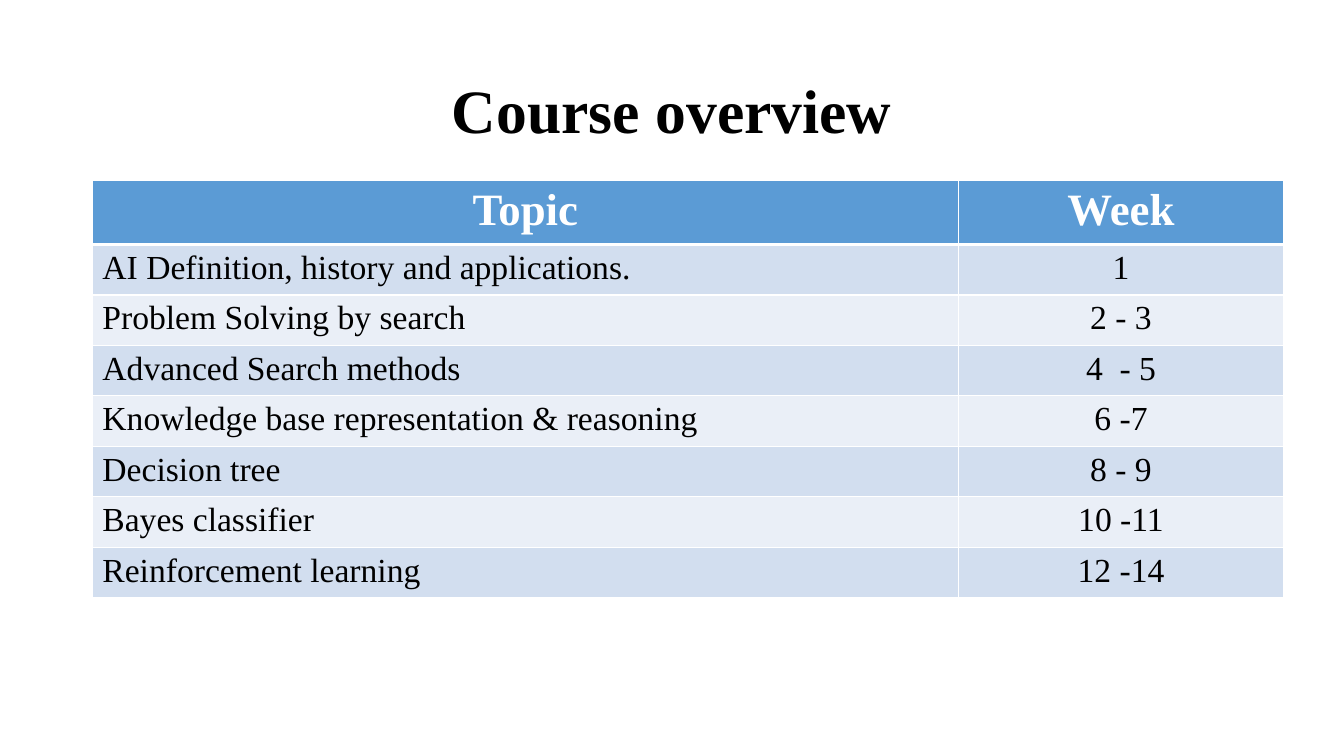
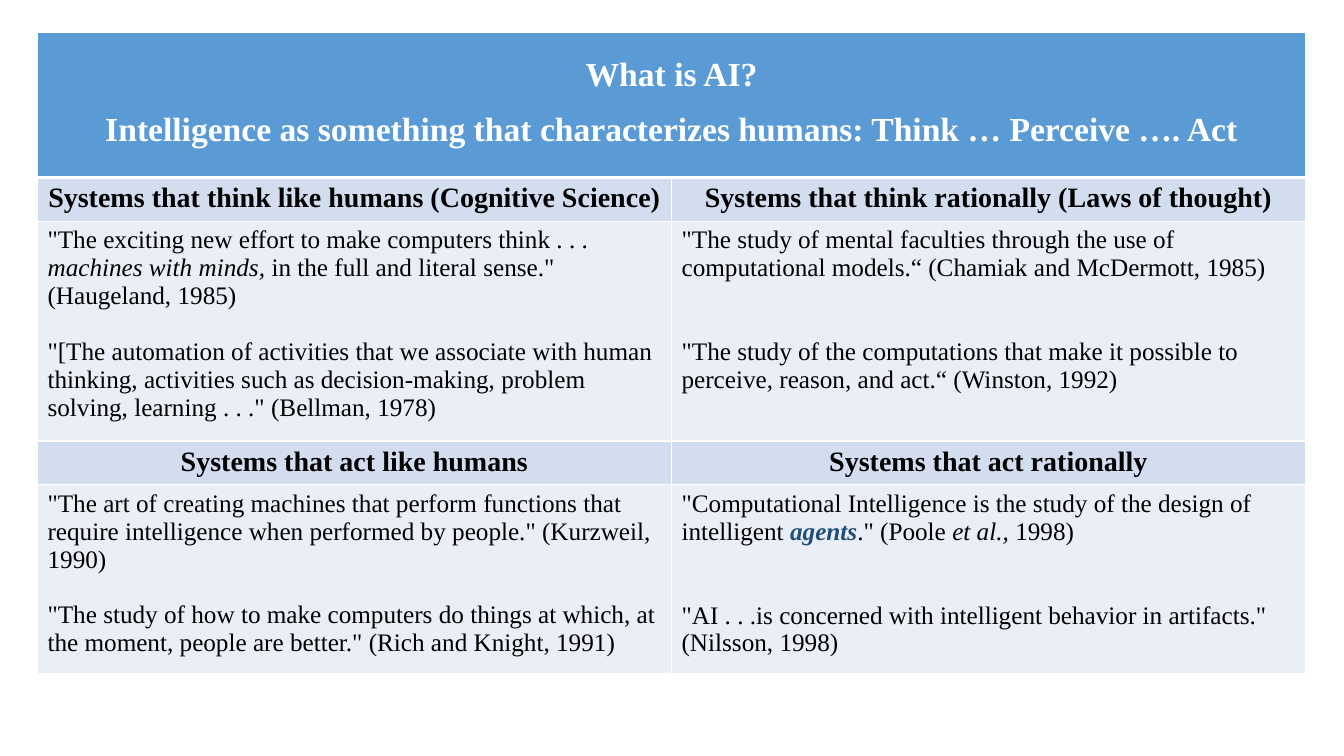
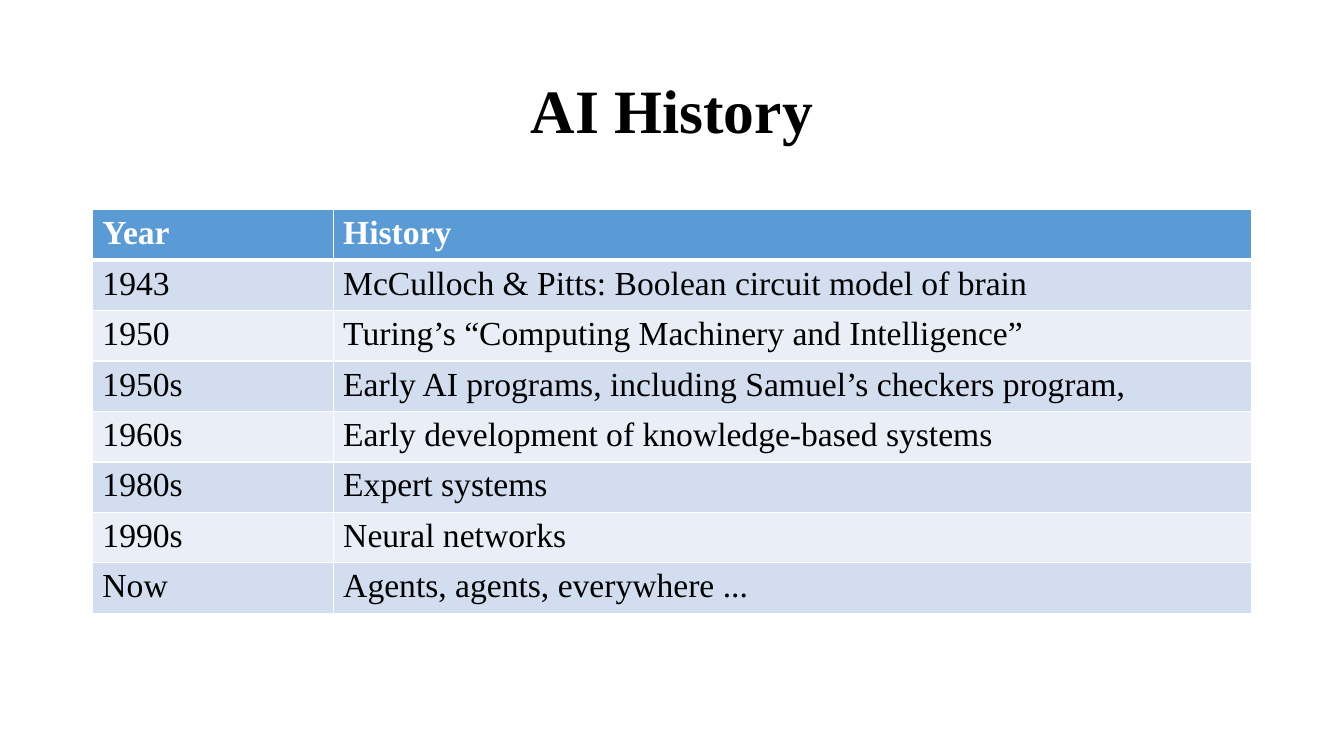
from dataclasses import dataclass

from lxml.etree import SubElement
from pptx import Presentation
from pptx.dml.color import RGBColor
from pptx.enum.text import MSO_ANCHOR, PP_ALIGN
from pptx.oxml.ns import qn
from pptx.util import Pt

FONT = "Times New Roman"
WHITE = RGBColor(0xFF, 0xFF, 0xFF)
BLACK = RGBColor(0, 0, 0)
HEADER_BLUE = RGBColor(0x5B, 0x9B, 0xD5)
BANDS = (RGBColor(0xD2, 0xDE, 0xEF), RGBColor(0xEA, 0xEF, 0xF7))
AGENT_BLUE = RGBColor(0x1F, 0x4E, 0x79)

LEFT, CENTER = PP_ALIGN.LEFT, PP_ALIGN.CENTER
THIN, THICK = 1, 3
ITALIC = {"italic": True}
AGENT = {"italic": True, "bold": True, "color": AGENT_BLUE}


@dataclass
class RowStyle:
    height: float
    size: int = 24
    bold: bool = False
    color: RGBColor = BLACK
    aligns: tuple = (LEFT, LEFT)
    line_spacing: float = 1.0
    gaps: tuple = (0, 0)


TOPIC_HEADER = RowStyle(42.6, 32, True, WHITE, (CENTER, CENTER))
TOPIC_ROW = RowStyle(33.8, aligns=(LEFT, CENTER))
BANNER = RowStyle(103.6, 24, True, WHITE, (CENTER, CENTER), 1.5)
APPROACH = RowStyle(29.4, 20, True, aligns=(CENTER, CENTER))
THINK_QUOTES = RowStyle(146.7, 18, gaps=(20, 40))
ACT_QUOTES = RowStyle(126.8, 18, gaps=(20, 40))
YEAR_HEADER = RowStyle(33.8, 24, True, WHITE)
YEAR_ROW = RowStyle(33.8)

TOPICS = [
    ("AI Definition, history and applications.", "1"),
    ("Problem Solving by search", "2 - 3"),
    ("Advanced Search methods", "4  - 5"),
    ("Knowledge base representation & reasoning", "6 -7"),
    ("Decision tree", "8 - 9"),
    ("Bayes classifier", "10 -11"),
    ("Reinforcement learning", "12 -14"),
]

DEFINITIONS = [
    (BANNER, ([
        "What is AI?",
        "Intelligence as something that characterizes humans: Think … Perceive …. Act",
    ],)),
    (APPROACH, (
        "Systems that think like humans (Cognitive Science)",
        "Systems that think rationally (Laws of thought)",
    )),
    (THINK_QUOTES, (
        [
            [('"The exciting new effort to make computers think . . . ', {}),
             ("machines with minds, ", ITALIC),
             ('in the full and literal sense." (Haugeland, 1985)', {})],
            '"[The automation of activities that we associate with human thinking, '
            'activities such as decision-making, problem solving, learning . . ." (Bellman, 1978)',
        ],
        [
            '"The study of mental faculties through the use of computational models.“ '
            '(Chamiak and McDermott, 1985)',
            '"The study of the computations that make it possible to perceive, reason, '
            'and act.“ (Winston, 1992)',
        ],
    )),
    (APPROACH, ("Systems that act like humans", "Systems that act rationally")),
    (ACT_QUOTES, (
        [
            '"The art of creating machines that perform functions that require '
            'intelligence when performed by people." (Kurzweil,',
            "1990)",
            '"The study of how to make computers do things at which, at the moment, '
            'people are better." (Rich and Knight, 1991)',
        ],
        [
            [('"Computational Intelligence is the study of the design of intelligent ', {}),
             ("agents", AGENT), ('." (Poole ', {}), ("et al., ", ITALIC), ("1998)", {})],
            '"AI . . .is concerned with intelligent behavior in artifacts." (Nilsson, 1998)',
        ],
    )),
]

HISTORY = [
    ("1943", "McCulloch & Pitts: Boolean circuit model of brain"),
    ("1950", "Turing’s “Computing Machinery and Intelligence”"),
    ("1950s", "Early AI programs, including Samuel’s checkers program,"),
    ("1960s", "Early development of knowledge-based systems"),
    ("1980s", "Expert systems"),
    ("1990s", "Neural networks"),
    ("Now", "Agents, agents, everywhere ..."),
]


def format_run(run, size, bold, color, italic=False):
    run.font.name = FONT
    run.font.size = Pt(size)
    run.font.bold = bold
    run.font.italic = italic
    run.font.color.rgb = color


def add_title(slide, title):
    box = slide.shapes.add_textbox(Pt(66), Pt(28.8), Pt(828), Pt(104.4))
    frame = box.text_frame
    frame.word_wrap = True
    frame.vertical_anchor = MSO_ANCHOR.MIDDLE
    frame.text = title
    heading = frame.paragraphs[0]
    heading.alignment = CENTER
    heading.line_spacing = 0.9
    format_run(heading.runs[0], 44, True, BLACK)


def set_borders(cell, row_index):
    widths = {
        "a:lnL": THIN,
        "a:lnR": THIN,
        "a:lnT": THICK if row_index == 1 else THIN,
        "a:lnB": THICK if row_index == 0 else THIN,
    }
    properties = cell._tc.get_or_add_tcPr()
    for side, width in widths.items():
        line = SubElement(properties, qn(side), w=str(Pt(width)))
        fill = SubElement(line, qn("a:solidFill"))
        SubElement(fill, qn("a:srgbClr"), val=str(WHITE))


def write_cell(cell, content, style, column):
    paragraphs = [content] if isinstance(content, str) else content
    frame = cell.text_frame
    for index, pieces in enumerate(paragraphs):
        paragraph = frame.add_paragraph() if index else frame.paragraphs[0]
        paragraph.alignment = style.aligns[column]
        paragraph.line_spacing = style.line_spacing
        if index and index == len(paragraphs) - 1:
            paragraph.space_before = Pt(style.gaps[column])
        if isinstance(pieces, str):
            pieces = [(pieces, {})]
        for words, emphasis in pieces:
            run = paragraph.add_run()
            run.text = words
            format_run(run, **{"size": style.size, "bold": style.bold,
                               "color": style.color, **emphasis})


def add_banded_table(slide, left, top, widths, rows):
    height = sum(style.height for style, _ in rows)
    table = slide.shapes.add_table(
        len(rows), len(widths), Pt(left), Pt(top), Pt(sum(widths)), Pt(height)
    ).table
    for column, width in zip(table.columns, widths):
        column.width = Pt(width)
    for row_index, (style, contents) in enumerate(rows):
        table.rows[row_index].height = Pt(style.height)
        for cell in table.rows[row_index].cells:
            set_borders(cell, row_index)
            cell.fill.solid()
            cell.fill.fore_color.rgb = BANDS[(row_index - 1) % 2] if row_index else HEADER_BLUE
        if len(contents) < len(widths):
            table.cell(row_index, 0).merge(table.cell(row_index, len(widths) - 1))
        for column, content in enumerate(contents):
            write_cell(table.cell(row_index, column), content, style, column)


def main():
    deck = Presentation()
    deck.slide_width, deck.slide_height = Pt(960), Pt(540)
    topic_rows = [(TOPIC_HEADER, ("Topic", "Week"))] + [(TOPIC_ROW, row) for row in TOPICS]
    year_rows = [(YEAR_HEADER, ("Year", "History"))] + [(YEAR_ROW, row) for row in HISTORY]
    slides = [
        ("Course overview", 66, 129, (618.5, 232.5), topic_rows),
        (None, 26.8, 23.3, (452.9, 452.9), DEFINITIONS),
        ("AI History", 66, 149.8, (172, 656), year_rows),
    ]
    for title, left, top, widths, rows in slides:
        slide = deck.slides.add_slide(deck.slide_layouts[6])
        if title:
            add_title(slide, title)
        add_banded_table(slide, left, top, widths, rows)
    deck.save("out.pptx")


if __name__ == "__main__":
    main()
